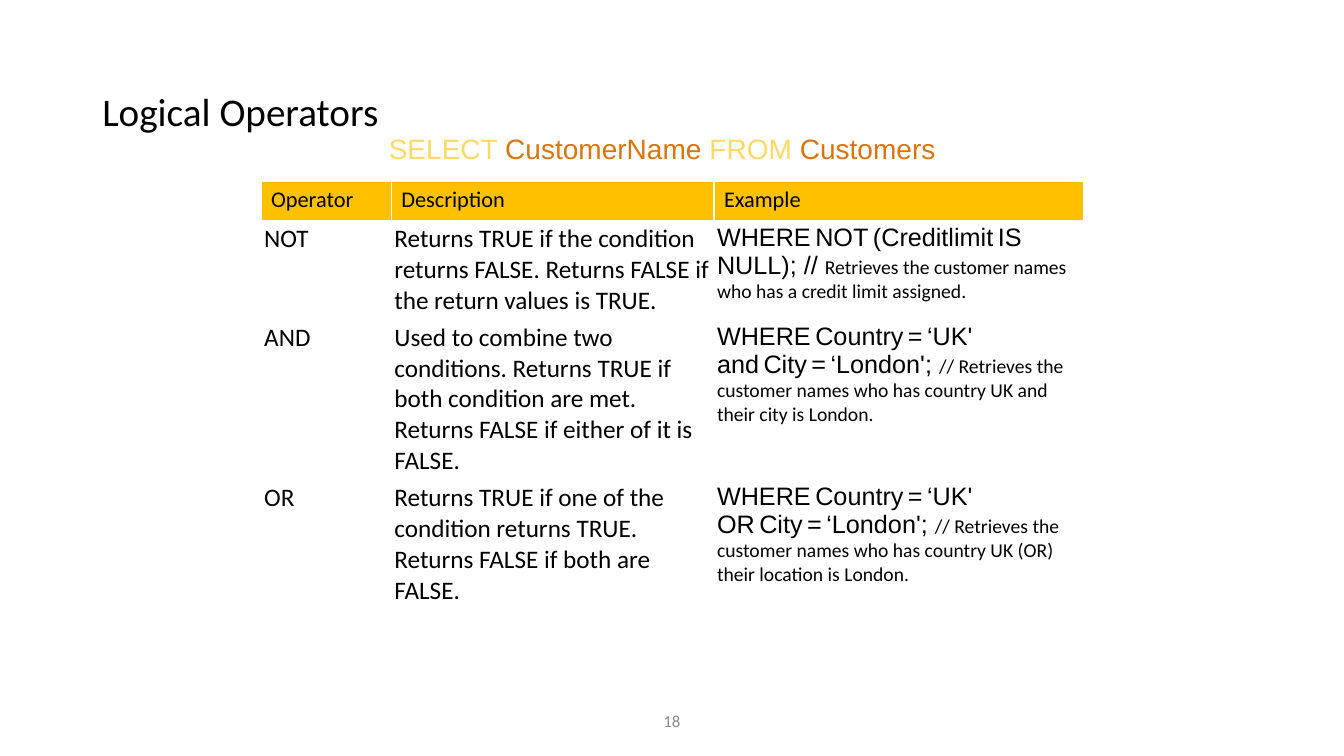
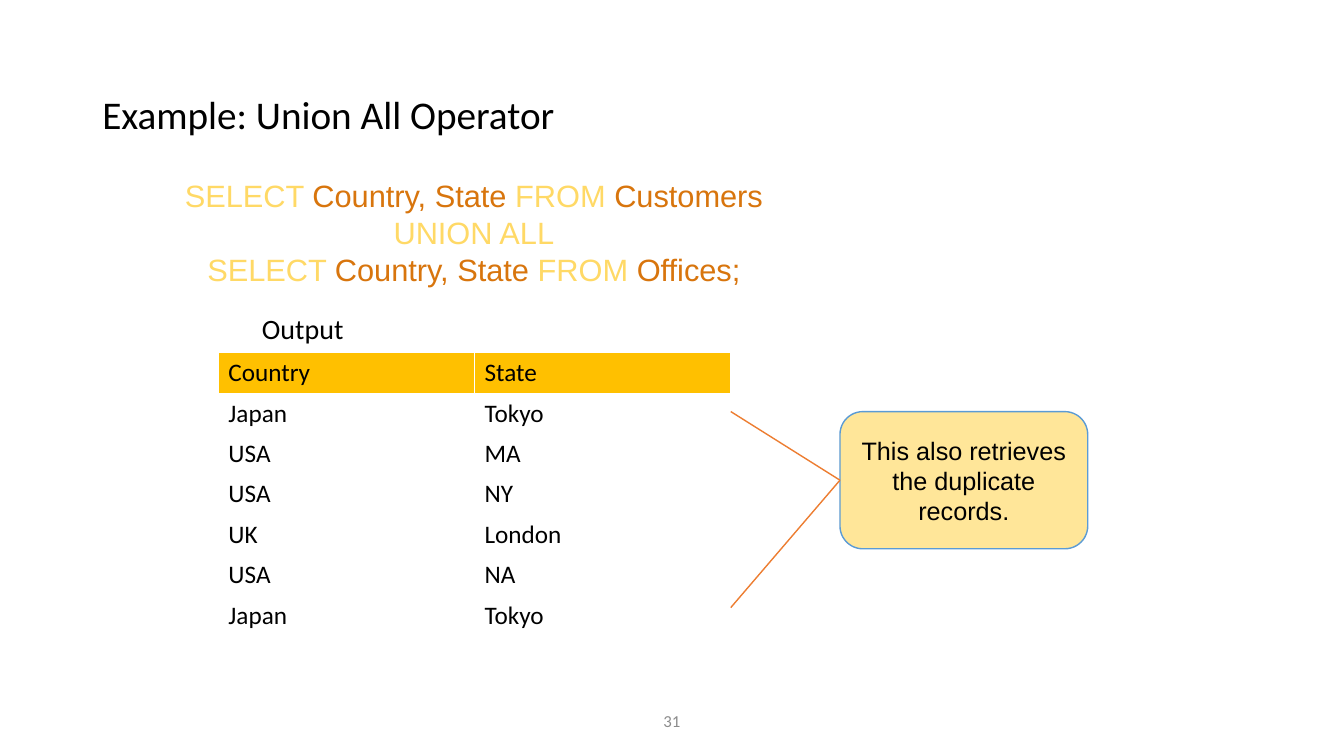
from lxml import etree
from pptx import Presentation
from pptx.dml.color import RGBColor
from pptx.enum import shapes, text
from pptx.oxml.ns import qn
from pptx.util import Pt

BLACK, WHITE, GREY = "000000", "FFFFFF", "8C8C8C"
GOLD, SAND, CREAM = "FFC000", "FFD966", "FFE699"
RUST, ORANGE, BLUE = "D8750D", "ED7D31", "5B9BD5"
SANS, CODE = "Calibri", "Arial"
LEFT, MID = text.PP_ALIGN.LEFT, text.PP_ALIGN.CENTER
TOP, CENTER = text.MSO_ANCHOR.TOP, text.MSO_ANCHOR.MIDDLE
ROUND = shapes.MSO_SHAPE.ROUNDED_RECTANGLE


def color(code):
    return RGBColor.from_string(code)


def pts(*sizes):
    return [Pt(size) for size in sizes]


def plain(words, size, face=SANS, tint=BLACK):
    return [(words, size, face, tint)]


def write(frame, lines, align=LEFT, anchor=TOP, pitch=None):
    frame.word_wrap = True
    frame.vertical_anchor = anchor
    for spot, runs in enumerate(lines):
        para = frame.add_paragraph() if spot else frame.paragraphs[0]
        para.alignment = align
        if pitch:
            para.line_spacing = pitch
        for words, size, face, tint in runs:
            run = para.add_run()
            run.text = words
            run.font.size = Pt(size)
            run.font.name = face
            run.font.bold = False
            run.font.color.rgb = color(tint)


def label(slide, box, lines, **style):
    write(slide.shapes.add_textbox(*pts(*box)).text_frame, lines, **style)


def panel(slide, box, lines, fill=None, edge=None, anchor=TOP):
    shape = slide.shapes.add_shape(ROUND, *pts(*box))
    shape.shadow.inherit = False
    if fill:
        shape.fill.solid()
        shape.fill.fore_color.rgb = color(fill)
        shape.line.color.rgb = color(edge)
        shape.line.width = Pt(1)
    else:
        shape.fill.background()
        shape.line.fill.background()
    write(shape.text_frame, lines, MID, anchor)


def link(slide, start, end):
    line = slide.shapes.add_connector(shapes.MSO_CONNECTOR.STRAIGHT, *pts(*start, *end))
    line.line.color.rgb = color(ORANGE)
    line.line.width = Pt(1)
    etree.SubElement(line._element.spPr, qn("a:effectLst"))


def grid(slide, left, top, wides, highs, rows, inset=None, anchor=TOP):
    frame = slide.shapes.add_table(
        len(highs), len(wides), *pts(left, top, sum(wides), sum(highs)))
    table = frame.table
    table.horz_banding = False
    for col, wide in zip(table.columns, wides):
        col.width = Pt(wide)
    for level, (row, high) in enumerate(zip(table.rows, highs)):
        row.height = Pt(high)
        for cell, lines in zip(row.cells, rows[level]):
            if level:
                cell.fill.background()
                if inset:
                    cell.margin_left = cell.margin_right = Pt(inset)
                    cell.margin_top = cell.margin_bottom = Pt(inset)
            else:
                cell.fill.solid()
                cell.fill.fore_color.rgb = color(GOLD)
            write(cell.text_frame, lines)
            cell.vertical_anchor = anchor if level else TOP


def query(size, *parts):
    return [(words, size, CODE, RUST if spot % 2 else SAND)
            for spot, words in enumerate(parts)]


def clause(*words, note=None):
    runs = []
    for word in words:
        if runs:
            runs += plain(" ", 14)
        runs += plain(word, 18, CODE)
    return runs + (plain(note, 14) if note else [])


def start(deck, title, number, pitch=None):
    slide = deck.slides.add_slide(deck.slide_layouts[6])
    slide.background.fill.solid()
    slide.background.fill.fore_color.rgb = color(WHITE)
    label(slide, (66, 29, 828, 104), [plain(title, 28)], anchor=CENTER, pitch=pitch)
    label(slide, (318, 500.5, 324, 28.8), [plain(number, 12, tint=GREY)],
          align=MID, anchor=CENTER)
    return slide


def logic(deck):
    slide = start(deck, "Logical Operators", "18", 0.9)
    label(slide, (149, 93, 648, 30),
          [query(20, "SELECT ", "CustomerName ", "FROM ", "Customers")],
          align=MID, pitch=0.9)
    where = clause("WHERE", "Country", "=", "‘UK'")
    tests = [
        ("NOT", "Returns TRUE if the condition returns FALSE. "
                "Returns FALSE if the return values is TRUE.",
         [clause("WHERE", "NOT", "(Creditlimit", "IS NULL); // ",
                 note="Retrieves the customer names who has a credit limit assigned.")]),
        ("AND", "Used to combine two conditions. Returns TRUE if both condition are met. "
                "Returns FALSE if either of it is FALSE.",
         [where, clause("and", "City", "=", "‘London'; ",
                        note="// Retrieves the customer names who has country UK "
                             "and their city is London.")]),
        ("OR", "Returns TRUE if one of the condition returns TRUE. "
               "Returns FALSE if both are FALSE.",
         [where, clause("OR", "City", "=", "‘London'; ",
                        note="// Retrieves the customer names who has country UK "
                             "(OR) their location is London.")]),
    ]
    rows = [[[plain(head, 16)] for head in ("Operator", "Description", "Example")]]
    rows += [[[plain(name, 18)], [plain(about, 18)], sample]
             for name, about, sample in tests]
    grid(slide, 186.5, 129.6, (93, 230.5, 264), (28, 70.5, 114.5, 87), rows, 2.25)


def union(deck):
    slide = start(deck, "Example: Union All Operator", "31")
    places = [("Country", "State"), ("Japan", "Tokyo"), ("USA", "MA"), ("USA", "NY"),
              ("UK", "London"), ("USA", "NA"), ("Japan", "Tokyo")]
    rows = [[[plain(name, 18)] for name in pair] for pair in places]
    grid(slide, 156, 252, (183, 183), [28.8] * len(rows), rows, anchor=CENTER)
    label(slide, (180, 219, 126, 31.5), [plain("Output", 20)])
    panel(slide, (116.5, 118, 444, 96.5), [
        query(22, "SELECT ", "Country, State ", "FROM ", "Customers"),
        query(22, "UNION ALL"),
        query(22, "SELECT ", "Country, State ", "FROM ", "Offices;")])
    left, top, wide, high = 600, 294, 177, 98
    panel(slide, (left, top, wide, high),
          [plain("This also retrieves the duplicate records.", 18, CODE)],
          CREAM, BLUE, CENTER)
    for end in (top, 434):
        link(slide, (left, top + high / 2), (522, end))


def main():
    deck = Presentation()
    deck.slide_width, deck.slide_height = pts(960, 540)
    logic(deck)
    union(deck)
    deck.save("out.pptx")


if __name__ == "__main__":
    main()
